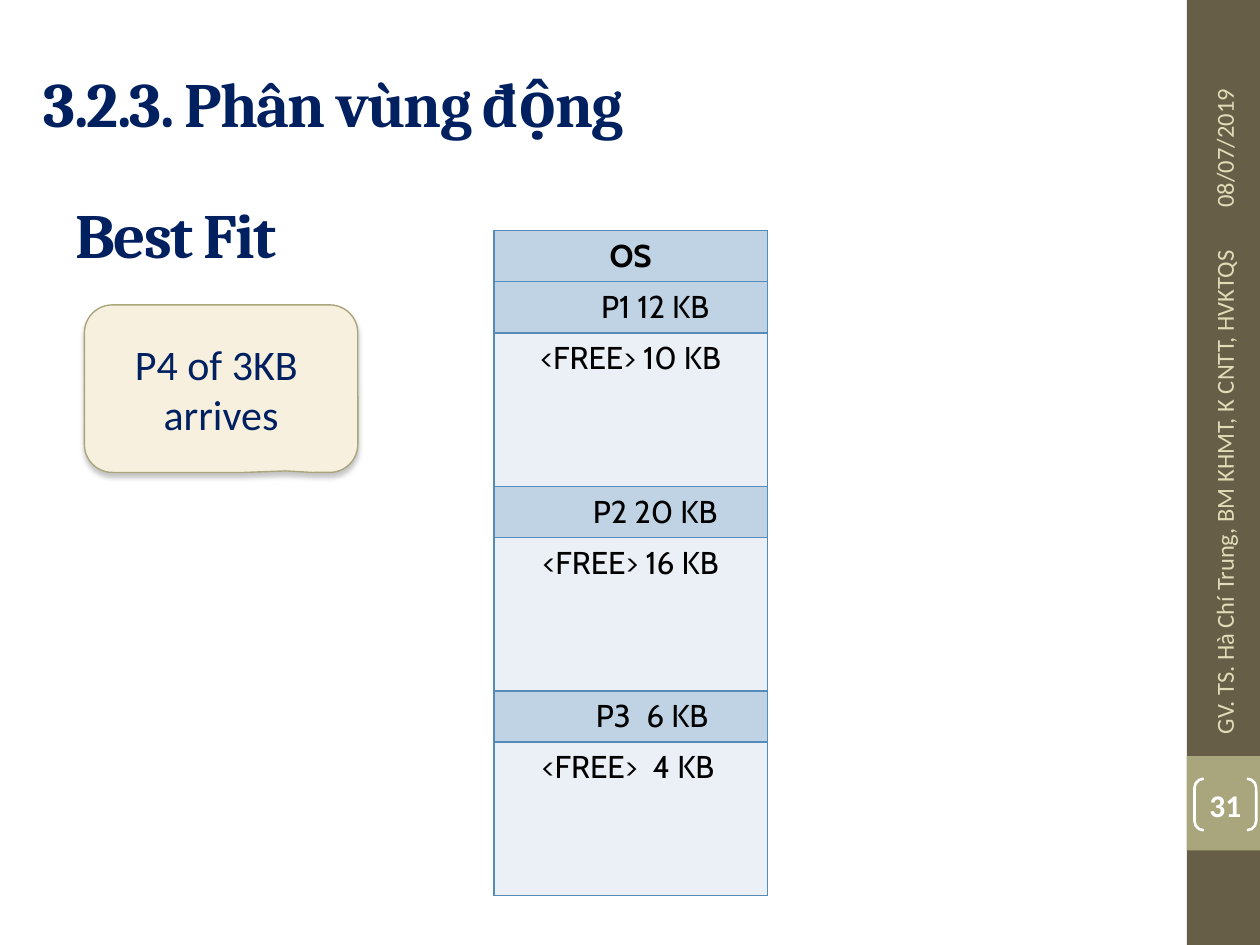
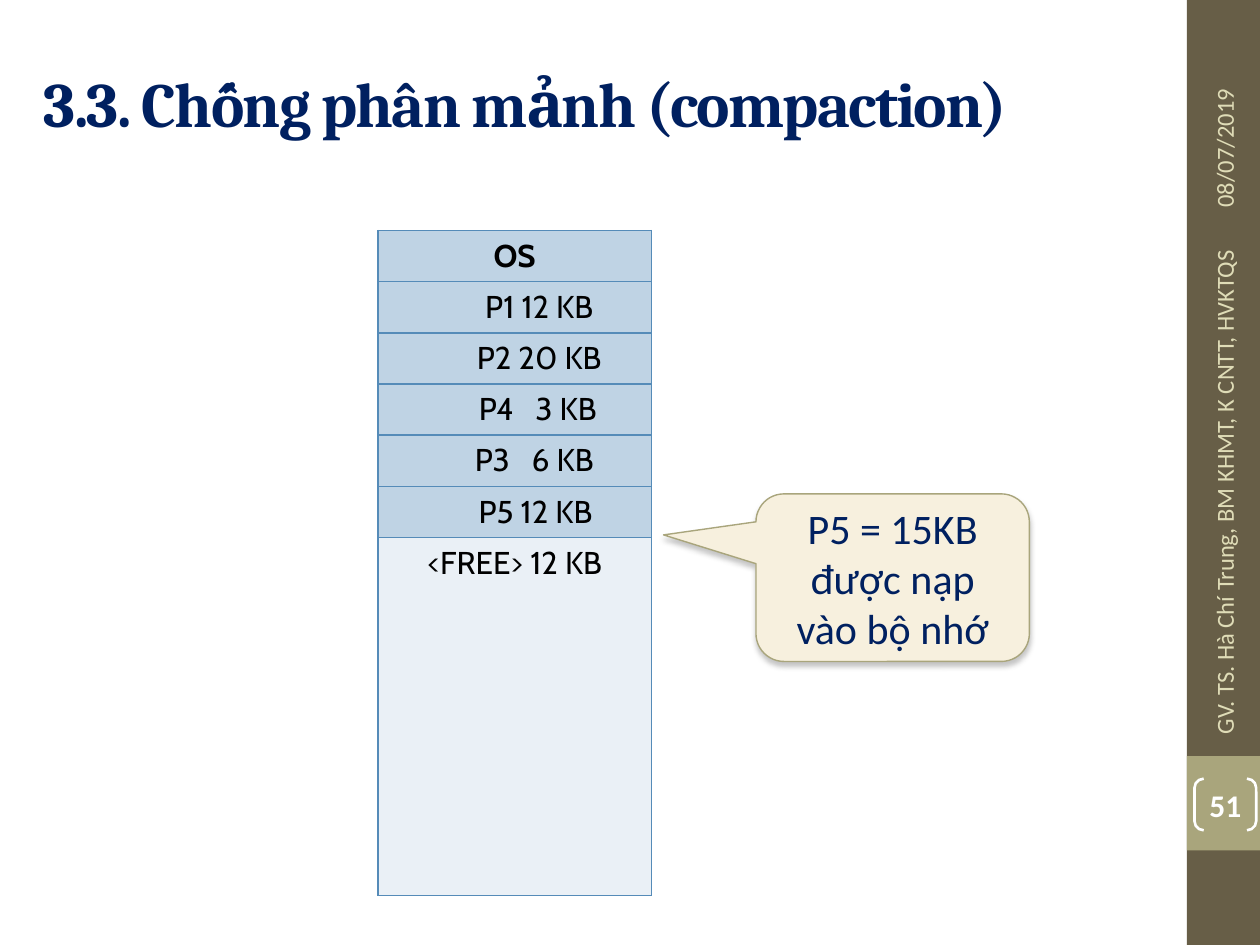
from lxml.etree import SubElement
from pptx import Presentation
from pptx.dml.color import RGBColor
from pptx.enum.shapes import MSO_SHAPE as Shape
from pptx.enum.text import MSO_ANCHOR as Anchor, PP_ALIGN as Align
from pptx.oxml.ns import qn
from pptx.util import Inches, Pt

NAVY, BLACK, WHITE = "002060", "000000", "FFFFFF"
BAND, BADGE, BAND_TEXT = "675E47", "A9A57C", "DFDCB7"
CREAM, USED, FREE, BORDER = "F7F0DE", "BFD3E4", "EAF0F6", "558BB8"
BODY_FONT, TITLE_FONT, TABLE_FONT = "Calibri", "Cambria", "Cabin"
ROW_HEIGHT = 5.28 / 13
MEMORY_WIDTH = 2.17


def color(value):
    return RGBColor.from_string(value)


def child(parent, tag, **attributes):
    return SubElement(parent, qn(tag), **{k: str(v) for k, v in attributes.items()})


class Deck:
    """Holds the presentation and the slide being drawn."""

    def __init__(self):
        self.presentation = Presentation()
        self.presentation.slide_width = Inches(10)
        self.presentation.slide_height = Inches(7.5)
        self.slide = None

    def start_slide(self, title, number):
        layout = self.presentation.slide_layouts[6]
        self.slide = self.presentation.slides.add_slide(layout)
        self.shape(Shape.RECTANGLE, (9.42, 0, 0.58, 7.5), BAND)
        self.shape(Shape.RECTANGLE, (9.42, 6, 0.58, 0.75), BADGE)
        self.side_text("08/07/2019", (8.84, 0.67, 1.75, 0.4))
        self.side_text("GV. TS. Hà Chí Trung, BM KHMT, K CNTT, HVKTQS",
                       (7.63, 3.64, 4.17, 0.4))
        bracket = self.shape(Shape.DOUBLE_BRACKET, (9.48, 6.18, 0.49, 0.41),
                             line=WHITE, width=1.5, adjustments=[0.179])
        frame = bracket.text_frame
        frame.margin_left = frame.margin_right = 0
        frame.margin_top = frame.margin_bottom = 0
        self.fill_text(frame, [str(number)], 18, WHITE, bold=True, align=Align.CENTER)
        self.heading(title, (0.25, 0.3, 8.92, 1.03))

    def shape(self, kind, box, fill=None, line=None, width=1, adjustments=()):
        shape = self.slide.shapes.add_shape(kind, *map(Inches, box))
        shape.shadow.inherit = False
        for index, value in enumerate(adjustments):
            shape.adjustments[index] = value
        if fill:
            shape.fill.solid()
            shape.fill.fore_color.rgb = color(fill)
        else:
            shape.fill.background()
        if line:
            shape.line.color.rgb = color(line)
            shape.line.width = Pt(width)
        else:
            shape.line.fill.background()
        return shape

    def fill_text(self, frame, lines, size, ink, font=BODY_FONT, bold=False,
                  align=Align.LEFT, anchor=Anchor.MIDDLE):
        frame.word_wrap = True
        frame.vertical_anchor = anchor
        for index, text in enumerate(lines):
            paragraph = frame.add_paragraph() if index else frame.paragraphs[0]
            paragraph.alignment = align
            run = paragraph.add_run()
            run.text = text
            run.font.size = Pt(size)
            run.font.name = font
            run.font.bold = bold
            run.font.color.rgb = color(ink)

    def text(self, lines, box, size, ink, **style):
        shape = self.slide.shapes.add_textbox(*map(Inches, box))
        self.fill_text(shape.text_frame, lines, size, ink, **style)
        return shape

    def heading(self, text, box):
        shape = self.text([text], box, 36, NAVY, font=TITLE_FONT, bold=True)
        run = shape.text_frame.paragraphs[0].runs[0]
        run._r.get_or_add_rPr().set("spc", "-100")

    def side_text(self, text, box):
        self.text([text], box, 14, BAND_TEXT).rotation = 270

    def callout(self, lines, left, top, pointer):
        shape = self.shape(Shape.ROUNDED_RECTANGULAR_CALLOUT, (left, top, 2.17, 1.33),
                           CREAM, BADGE, 0.79, [*pointer, 0.167])
        effects = shape._element.spPr.find(qn("a:effectLst"))
        shadow = child(effects, "a:outerShdw", blurRad=Pt(3), dist=Pt(2.4),
                       dir=90 * 60000, rotWithShape=0)
        child(child(shadow, "a:srgbClr", val="808080"), "a:alpha", val=45000)
        self.fill_text(shape.text_frame, lines, 24, NAVY, align=Align.CENTER)

    def memory_map(self, left, blocks):
        """Stack blocks of (text, rows, indent, tab); a tab makes the text left-aligned."""
        row_count = sum(rows for _, rows, _, _ in blocks)
        table = self.slide.shapes.add_table(
            row_count, 1, Inches(left), Inches(1.83), Inches(MEMORY_WIDTH),
            Inches(ROW_HEIGHT * row_count)).table
        table.first_row = table.horz_banding = False
        for row in table.rows:
            row.height = Inches(ROW_HEIGHT)
        position = 0
        for text, rows, indent, tab in blocks:
            for offset in range(rows):
                cell = table.cell(position + offset, 0)
                self.borders(cell, offset == 0, offset == rows - 1)
                cell.fill.solid()
                cell.fill.fore_color.rgb = color(FREE if rows > 1 else USED)
            self.label(table.cell(position, 0), text, indent, tab)
            position += rows

    def borders(self, cell, top, bottom):
        properties = cell._tc.get_or_add_tcPr()
        for side, shown in (("L", True), ("R", True), ("T", top), ("B", bottom)):
            line = child(properties, f"a:ln{side}", w=Pt(1))
            if shown:
                child(child(line, "a:solidFill"), "a:srgbClr", val=BORDER)
            else:
                child(line, "a:noFill")

    def label(self, cell, text, indent, tab):
        cell.margin_left = Inches(0.1 + indent)
        if tab:
            paragraph = cell.text_frame.paragraphs[0]
            stops = child(paragraph._p.get_or_add_pPr(), "a:tabLst")
            child(stops, "a:tab", pos=Inches(tab), algn="l")
        self.fill_text(cell.text_frame, [text], 18, BLACK, font=TABLE_FONT,
                       bold=text == "OS", align=Align.LEFT if tab else Align.CENTER,
                       anchor=Anchor.TOP)


def main():
    deck = Deck()

    deck.start_slide("3.2.3. Phân vùng động", 31)
    deck.memory_map(3.92, [
        ("OS", 1, 0, 0),
        ("P1 12 KB", 1, 0.39, 0),
        ("<FREE> 10 KB", 3, 0, 0),
        ("P2 20 KB", 1, 0.39, 0),
        ("<FREE> 16 KB", 3, 0, 0),
        ("P3\t6 KB", 1, 0.71, 0.4),
        ("<FREE>\t4 KB", 3, 0.28, 0.88),
    ])
    deck.callout(["P4 of 3KB ", "arrives"], 0.67, 2.42, (0.236, 0.491))
    deck.heading("Best Fit", (0.5, 1.42, 2.92, 0.87))

    deck.start_slide("3.3. Chống phân mảnh (compaction)", 51)
    deck.memory_map(3, [
        ("OS", 1, 0, 0),
        ("P1 12 KB", 1, 0.39, 0),
        ("P2 20 KB", 1, 0.39, 0),
        ("P4\t3 KB", 1, 0.7, 0.45),
        ("P3\t6 KB", 1, 0.67, 0.45),
        ("P5 12 KB", 1, 0.33, 0),
        ("<FREE> 12 KB", 7, 0, 0),
    ])
    deck.callout(["P5 = 15KB được nạp vào bộ nhớ"], 6, 3.92, (-0.838, -0.255))

    deck.presentation.save("out.pptx")


if __name__ == "__main__":
    main()
